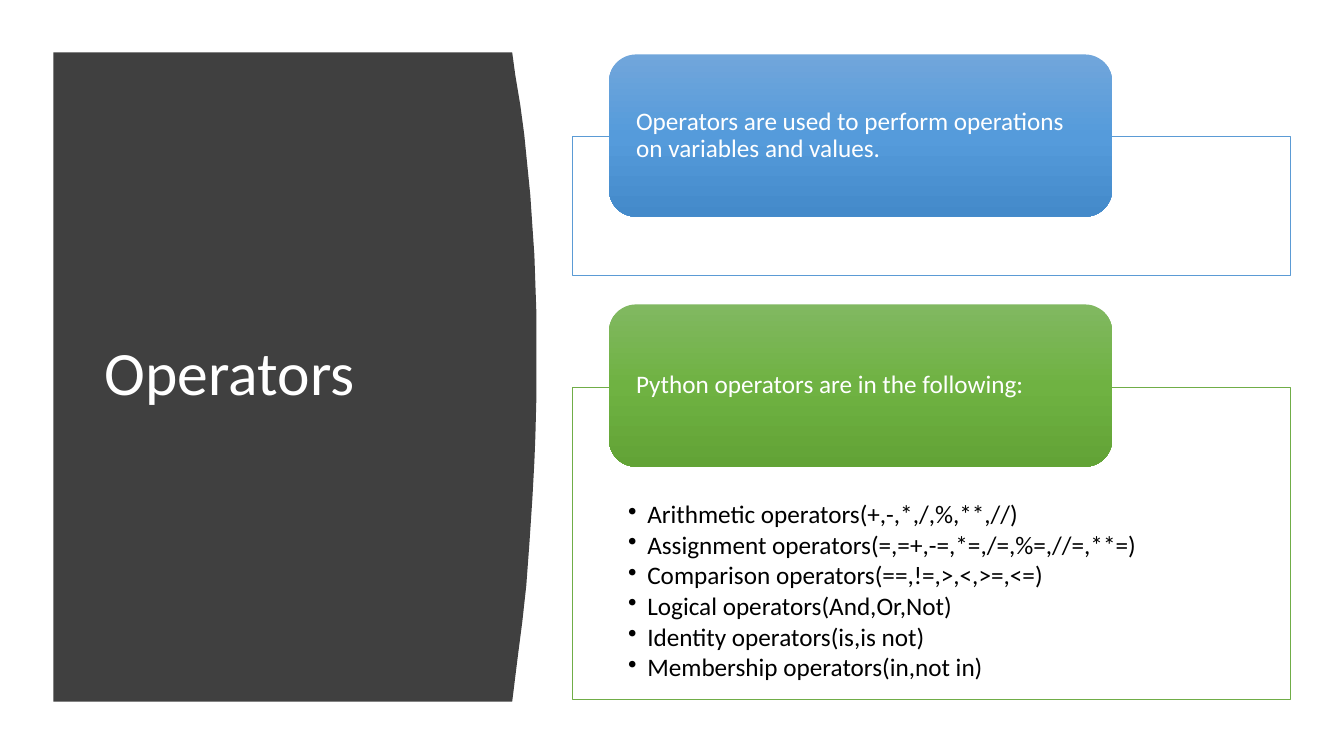
import copy

import pptx
import pptx.dml.color
import pptx.enum.shapes
import pptx.enum.text
import pptx.oxml
import pptx.oxml.ns
import pptx.util

RGBColor = pptx.dml.color.RGBColor
ANCHOR = pptx.enum.text.MSO_ANCHOR
SHAPE = pptx.enum.shapes.MSO_SHAPE
qn = pptx.oxml.ns.qn

PX = 9144  # one px is a hundredth of an inch
FONT = "Calibri"

WHITE = RGBColor(0xFF, 0xFF, 0xFF)
BLACK = RGBColor(0x00, 0x00, 0x00)
CHARCOAL = RGBColor(0x40, 0x40, 0x40)
BLUE = RGBColor(0x5B, 0x9B, 0xD5)
GREEN = RGBColor(0x70, 0xAD, 0x47)
BLUE_GRADIENT = [RGBColor(0x71, 0xA6, 0xDB), RGBColor(0x55, 0x9B, 0xDB),
                 RGBColor(0x44, 0x8A, 0xCA)]
GREEN_GRADIENT = [RGBColor(0x81, 0xB8, 0x61), RGBColor(0x6F, 0xB2, 0x42),
                  RGBColor(0x62, 0xA3, 0x36)]

TITLE_PANEL = [
    (53, 52), (508, 52), (511, 74), (516, 104), (520, 134), (523, 164),
    (526, 194), (528, 224), (530, 253), (531, 282), (532, 311), (532, 394),
    (531, 433), (530, 458), (528, 495), (525, 540), (522, 581), (518, 617),
    (514, 648), (511, 672), (508, 696), (53, 696),
]

OPERATORS = [
    "Arithmetic operators(+,-,*,/,%,**,//)",
    "Assignment operators(=,=+,-=,*=,/=,%=,//=,**=)",
    "Comparison operators(==,!=,>,<,>=,<=)",
    "Logical operators(And,Or,Not)",
    "Identity operators(is,is not)",
    "Membership operators(in,not in)",
]


def px(*lengths):
    return [length * PX for length in lengths]


def write_text(shape, text, size, color, anchor, insets, space_after=0):
    frame = shape.text_frame
    frame.word_wrap = True
    frame.vertical_anchor = anchor
    (frame.margin_left, frame.margin_top,
     frame.margin_right, frame.margin_bottom) = px(*insets)
    frame.text = text
    for paragraph in frame.paragraphs:
        paragraph.alignment = pptx.enum.text.PP_ALIGN.LEFT
        paragraph.line_spacing = 0.9
        paragraph.space_after = pptx.util.Pt(space_after)
        font = paragraph.runs[0].font
        font.name = FONT
        font.size = pptx.util.Pt(size)
        font.color.rgb = color


def add_bullets(shape, indent):
    for paragraph in shape.text_frame.paragraphs:
        properties = paragraph._p.get_or_add_pPr()
        properties.set("marL", str(indent * PX))
        properties.set("indent", str(-indent * PX))
        bullet = pptx.oxml.parse_xml(
            f'<a:buChar {pptx.oxml.ns.nsdecls("a")} char="•"/>')
        properties.append(bullet)


def fill_gradient(shape, colors):
    shape.fill.gradient()
    shape.fill.gradient_angle = 270
    stops = shape._element.spPr.find(qn("a:gradFill")).find(qn("a:gsLst"))
    middle = copy.deepcopy(stops[0])
    middle.set("pos", "50000")
    stops.insert(1, middle)
    for stop, color in zip(shape.fill.gradient_stops, colors):
        stop.color.rgb = color


def add_title_panel(slide):
    builder = slide.shapes.build_freeform(*TITLE_PANEL[0], scale=PX)
    builder.add_line_segments(TITLE_PANEL[1:], close=True)
    panel = builder.convert_to_shape()
    panel.shadow.inherit = False
    panel.fill.solid()
    panel.fill.fore_color.rgb = CHARCOAL
    panel.line.fill.background()


def add_frame(slide, top, height, color):
    frame = slide.shapes.add_shape(SHAPE.RECTANGLE, *px(568, top, 712, height))
    frame.shadow.inherit = False
    frame.fill.solid()
    frame.fill.fore_color.rgb = WHITE
    frame.line.color.rgb = color
    frame.line.width = pptx.util.Pt(0.5)
    return frame


def add_card(slide, top, text, gradient):
    card = slide.shapes.add_shape(
        SHAPE.ROUNDED_RECTANGLE, *px(604, top, 499, 161))
    card.shadow.inherit = False
    fill_gradient(card, gradient)
    card.line.fill.background()
    write_text(card, text, 18, WHITE, ANCHOR.MIDDLE, (19, 0, 19, 0))


def main():
    presentation = pptx.Presentation()
    presentation.slide_width, presentation.slide_height = px(1333, 750)
    slide = presentation.slides.add_slide(presentation.slide_layouts[6])

    # Title side
    add_title_panel(slide)
    title = slide.shapes.add_textbox(*px(94, 111, 374, 524))
    write_text(title, "Operators", 44, WHITE, ANCHOR.MIDDLE, (10, 5, 10, 5))

    # Purpose of operators
    add_frame(slide, 135, 138, BLUE)
    add_card(slide, 54,
             "Operators are used to perform operations on variables and values.",
             BLUE_GRADIENT)

    # Kinds of operators
    kinds = add_frame(slide, 384, 310, GREEN)
    write_text(kinds, "\n".join(OPERATORS), 18, BLACK, ANCHOR.TOP,
               (55, 114, 55, 14), space_after=2.4)
    add_bullets(kinds, 19)
    add_card(slide, 302, "Python operators are in the following:",
             GREEN_GRADIENT)

    presentation.save("out.pptx")


if __name__ == "__main__":
    main()
